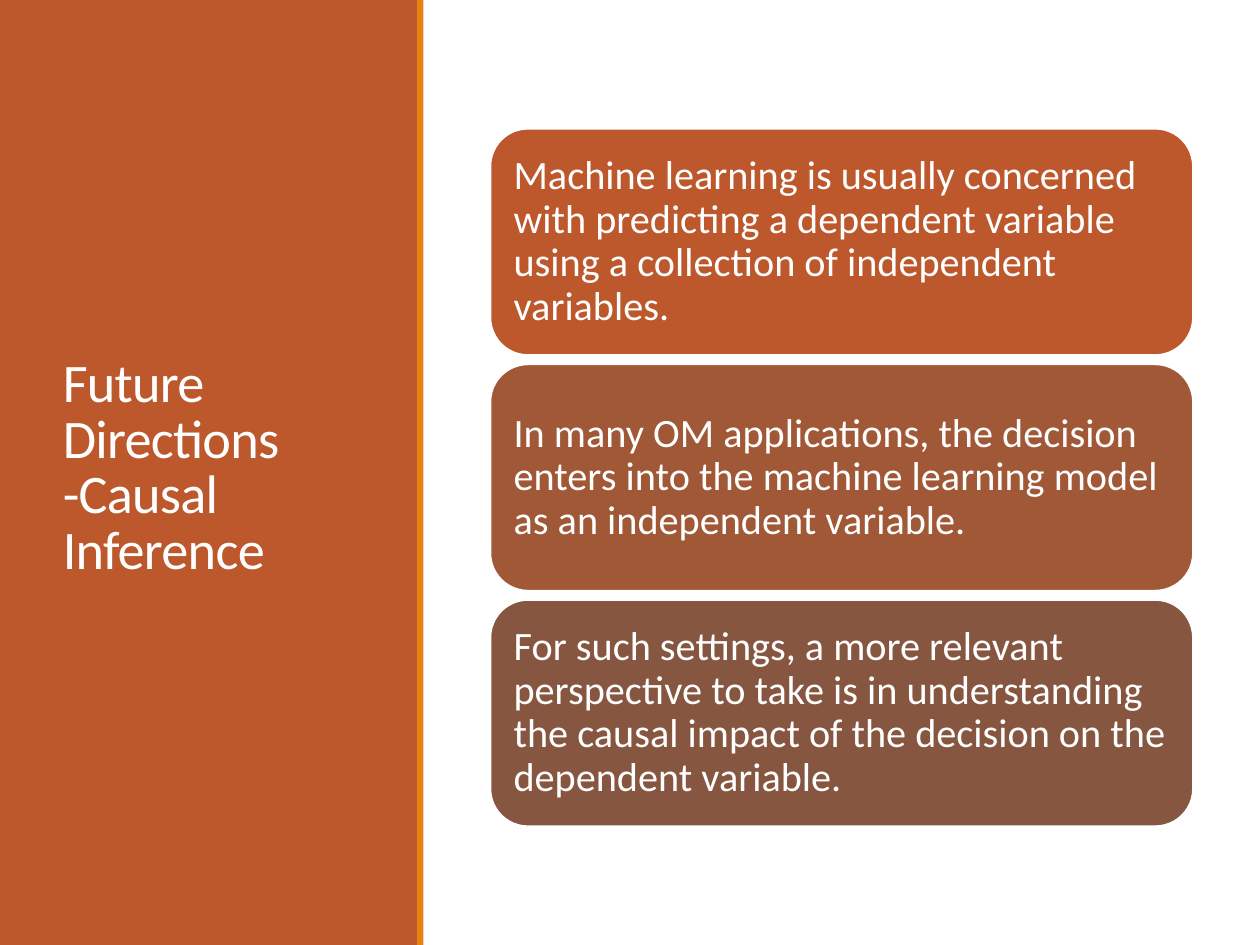
from pptx import Presentation
from pptx.dml.color import RGBColor
from pptx.enum.shapes import MSO_SHAPE as Shape
from pptx.enum.text import MSO_ANCHOR as Anchor, PP_ALIGN as Align
from pptx.util import Inches, Pt

WHITE, RUST, ORANGE = "FFFFFF", "BD582C", "E48312"
CARDS = [
    (RUST, "Machine learning is usually concerned with predicting a dependent "
           "variable using a collection of independent variables."),
    ("A05837", "In many OM applications, the decision enters into the machine "
               "learning model as an independent variable."),
    ("865640", "For such settings, a more relevant perspective to take is in "
               "understanding the causal impact of the decision on the "
               "dependent variable."),
]


def color(hex_string):
    return RGBColor.from_string(hex_string)


def add_block(slide, kind, box, fill, line=None):
    block = slide.shapes.add_shape(kind, *map(Inches, box))
    block.shadow.inherit = False
    block.fill.solid()
    block.fill.fore_color.rgb = color(fill)
    if line:
        block.line.color.rgb = color(line)
        block.line.width = Pt(1.25)
    else:
        block.line.fill.background()
    return block


def write(frame, text, size, leading, inset=(0.1, 0.05), tracking=None):
    frame.word_wrap = True
    frame.vertical_anchor = Anchor.MIDDLE
    frame.margin_left = frame.margin_right = Inches(inset[0])
    frame.margin_top = frame.margin_bottom = Inches(inset[1])
    paragraph = frame.paragraphs[0]
    paragraph.alignment = Align.LEFT
    paragraph.line_spacing = leading
    run = paragraph.add_run()
    run.text = text
    run.font.name = "Calibri"
    run.font.size = Pt(size)
    run.font.color.rgb = color(WHITE)
    if tracking is not None:
        run.font._element.set("spc", str(round(tracking * 100)))


def add_title_panel(slide, left, top, width, height):
    add_block(slide, Shape.RECTANGLE, (left, top, width, height), RUST)
    title_box = (left + 0.4, top + 0.57, 2.53, 6.31)
    title = slide.shapes.add_textbox(*map(Inches, title_box))
    write(title.text_frame, "Future Directions -Causal Inference",
          size=31, leading=0.85, tracking=-0.4)
    # Accent stripe along the right edge
    add_block(slide, Shape.RECTANGLE,
              (left + width - 0.01, top, 0.05, height), ORANGE)


def add_cards(slide, left, top, width, height, gap=0.07):
    card_height = (height - gap * (len(CARDS) - 1)) / len(CARDS)
    for row, (fill, statement) in enumerate(CARDS):
        card_top = top + row * (card_height + gap)
        card = add_block(slide, Shape.ROUNDED_RECTANGLE,
                         (left, card_top, width, card_height), fill, WHITE)
        write(card.text_frame, statement, size=23, leading=0.9,
              inset=(0.1, 0.1))


def main():
    deck = Presentation()
    deck.slide_width, deck.slide_height = Inches(10), Inches(7.5)
    slide = deck.slides.add_slide(deck.slide_layouts[6])
    add_title_panel(slide, 0, 0, 3.32, 7.5)
    add_cards(slide, 3.89, 1.02, 5.58, 5.54)
    deck.save("out.pptx")


if __name__ == "__main__":
    main()
